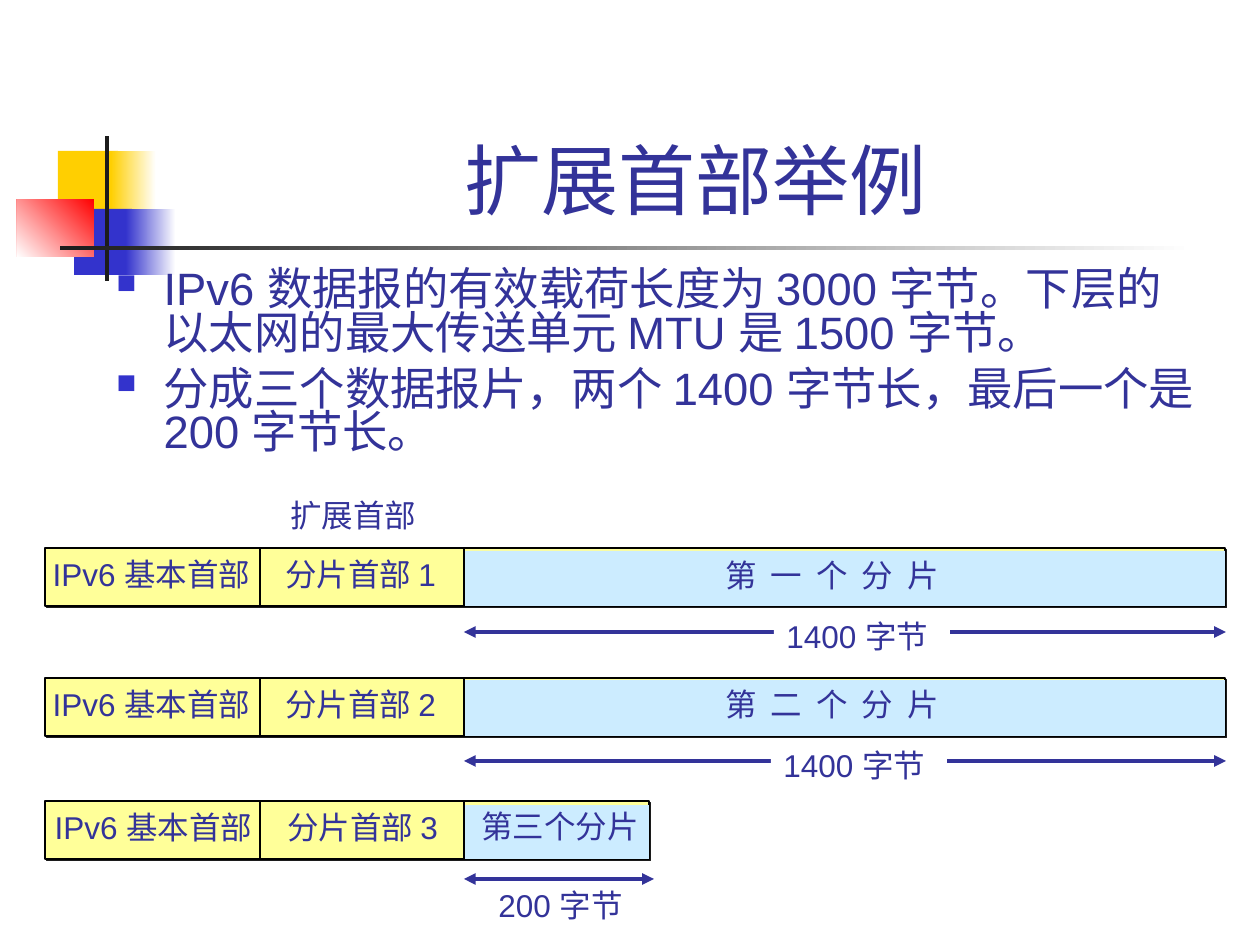
from lxml.etree import SubElement as Sub
from pptx import Presentation
from pptx.dml.color import RGBColor
from pptx.enum.shapes import MSO_CONNECTOR as Conn, MSO_SHAPE as Kind
from pptx.enum.text import MSO_ANCHOR as Anchor, MSO_AUTO_SIZE as Auto, PP_ALIGN as Align
from pptx.oxml.ns import qn
from pptx.util import Pt

# Content
TITLE = "扩展首部举例"
POINTS = [
    "IPv6 数据报的有效载荷长度为 3000 字节。下层的以太网的最大传送单元 MTU 是 1500 字节。",
    "分成三个数据报片，两个 1400 字节长，最后一个是 200 字节长。",
]
BASE, EXT = "IPv6 基本首部", "扩展首部"
# Each packet: top, right edge, header shift, blue inset, arrow y,
# then (text, x, y, width) of the fragment and of its size
ROWS = [
    dict(top=548, right=1225, shift=0, inset=3, arrow=632, gap=2, head="分片首部 1",
         frag=("第 一 个 分 片", 713, 550, 239), size=("1400 字节", 774, 611, 176)),
    dict(top=678, right=1225, shift=0, inset=2, arrow=761, gap=2, head="分片首部 2",
         frag=("第 二 个 分 片", 713, 679, 239), size=("1400 字节", 771, 740, 176)),
    dict(top=801, right=649, shift=2, inset=4, arrow=879, gap=0, head="分片首部 3",
         frag=("第三个分片", 469, 801, 183), size=("200 字节", 486, 880, 158)),
]
# Ornament: x, y, width, height, colour, then end colour and angle
DECOR = [
    (58, 151, 60, 66, "FFCF01", None, 0),
    (111, 151, 45, 66, "FFCF01", "FFFFFF", 0),
    (74, 209, 58, 66, "3333CC", None, 0),
    (126, 209, 50, 66, "3333CC", "FFFFFF", 0),
    (17, 199, 77, 58, "FF0000", "FFFFFF", 225),
    (105, 136, 4, 145, "1C1C1C", None, 0),
    (60, 246, 1134, 4, "1C1C1C", "FFFFFF", 0),
]
INK, BLACK, DARK = "333399", "000000", "1C1C1C"
YELLOW, BLUE, WHITE = "FFFF99", "CCECFF", "FFFFFF"
LEFT, CUT, DATA, HIGH, LINE = 45, 260, 464, 58, 50
SCALE = 914400 / 126


def px(*nums):
    return [round(n * SCALE) for n in nums]


def rgb(code):
    return RGBColor.from_string(code)


deck = Presentation()
deck.slide_width, deck.slide_height = px(1260, 945)
slide = deck.slides.add_slide(deck.slide_layouts[6])
shapes = slide.shapes


def rect(x, y, w, h, fill, end=None, angle=0, edge=None):
    box = shapes.add_shape(Kind.RECTANGLE, *px(x, y, w, h))
    box.shadow.inherit = False
    if end:
        box.fill.gradient()
        box.fill.gradient_angle = angle
        for stop, code in zip(box.fill.gradient_stops, (fill, end)):
            stop.color.rgb = rgb(code)
    else:
        box.fill.solid()
        box.fill.fore_color.rgb = rgb(fill)
    if edge:
        box.line.color.rgb = rgb(edge)
        box.line.width = Pt(0.75)
    else:
        box.line.fill.background()
    return box


def shade(box):
    glow = box._element.spPr.find(qn("a:effectLst"))
    drop = Sub(glow, qn("a:outerShdw"), dist=str(Pt(1.4)), dir="2700000",
               algn="ctr", rotWithShape="0")
    Sub(drop, qn("a:srgbClr"), val=DARK)


def rule(x1, y1, x2, y2, color=BLACK, width=0.75, heads=False):
    line = shapes.add_connector(Conn.STRAIGHT, *px(x1, y1, x2, y2))
    line.line.color.rgb = rgb(color)
    line.line.width = Pt(width)
    if heads:
        for end in ("a:headEnd", "a:tailEnd"):
            Sub(line.line._get_or_add_ln(), qn(end), type="triangle")
    Sub(line._element.spPr, qn("a:effectLst"))


def bullet(para):
    props = para._p.get_or_add_pPr()
    props.set("marL", "342900")
    props.set("indent", "-342900")
    Sub(Sub(props, qn("a:buClr")), qn("a:srgbClr"), val="3333CC")
    Sub(props, qn("a:buSzPct"), val="60000")
    Sub(props, qn("a:buChar"), char="■")


def text(words, x, y, w, h=LINE, size=18, align=Align.LEFT, anchor=Anchor.TOP,
         wrap=False, fill=None, marks=False, track=0):
    box = shapes.add_textbox(*px(x, y, w, h))
    if fill:
        box.fill.solid()
        box.fill.fore_color.rgb = rgb(fill)
    frame = box.text_frame
    frame.word_wrap, frame.vertical_anchor = wrap, anchor
    frame.auto_size = Auto.NONE if wrap else Auto.SHAPE_TO_FIT_TEXT
    for num, item in enumerate([words] if isinstance(words, str) else words):
        para = frame.add_paragraph() if num else frame.paragraphs[0]
        para.alignment = align
        if marks:
            para.line_spacing = 0.8
            para.space_before = Pt(7 if num else 0)
            bullet(para)
        run = para.add_run()
        run.text = item
        run.font.size, run.font.name = Pt(size), "Arial"
        run.font.color.rgb = rgb(INK)
        if track:
            run.font._element.set("spc", str(track))


# Ornament, title and points
for part in DECOR:
    rect(*part)
text(TITLE, 159, 29, 1073, 202, size=44, align=Align.CENTER,
     anchor=Anchor.BOTTOM, wrap=True)
text(POINTS, 104, 265, 1110, 228, size=25.9, wrap=True, marks=True)

# Packets
for row in ROWS:
    top, right, shift = row["top"], row["right"], row["shift"]
    base = top + HIGH
    shade(rect(LEFT, top, right - LEFT, HIGH, YELLOW, edge=BLACK))
    rule(CUT, top, CUT, base)
    text(BASE, 36 + shift, top + 1, 231, align=Align.CENTER)
    rect(DATA, top + row["inset"], right - DATA, HIGH - row["inset"], BLUE)
    text(row["head"], 269 + shift, top + 1, 183, align=Align.CENTER)
    rule(DATA, top, DATA, base)
    text(*row["frag"], track=row["gap"] * 100)
    # Size of the fragment
    reach = right + (1 if row["gap"] else 5)
    rule(DATA, row["arrow"], reach, row["arrow"], INK, 2.25, True)
    text(*row["size"], fill=WHITE if row["gap"] else None)

text(EXT, 278, 490, 151, align=Align.CENTER)
deck.save("out.pptx")
